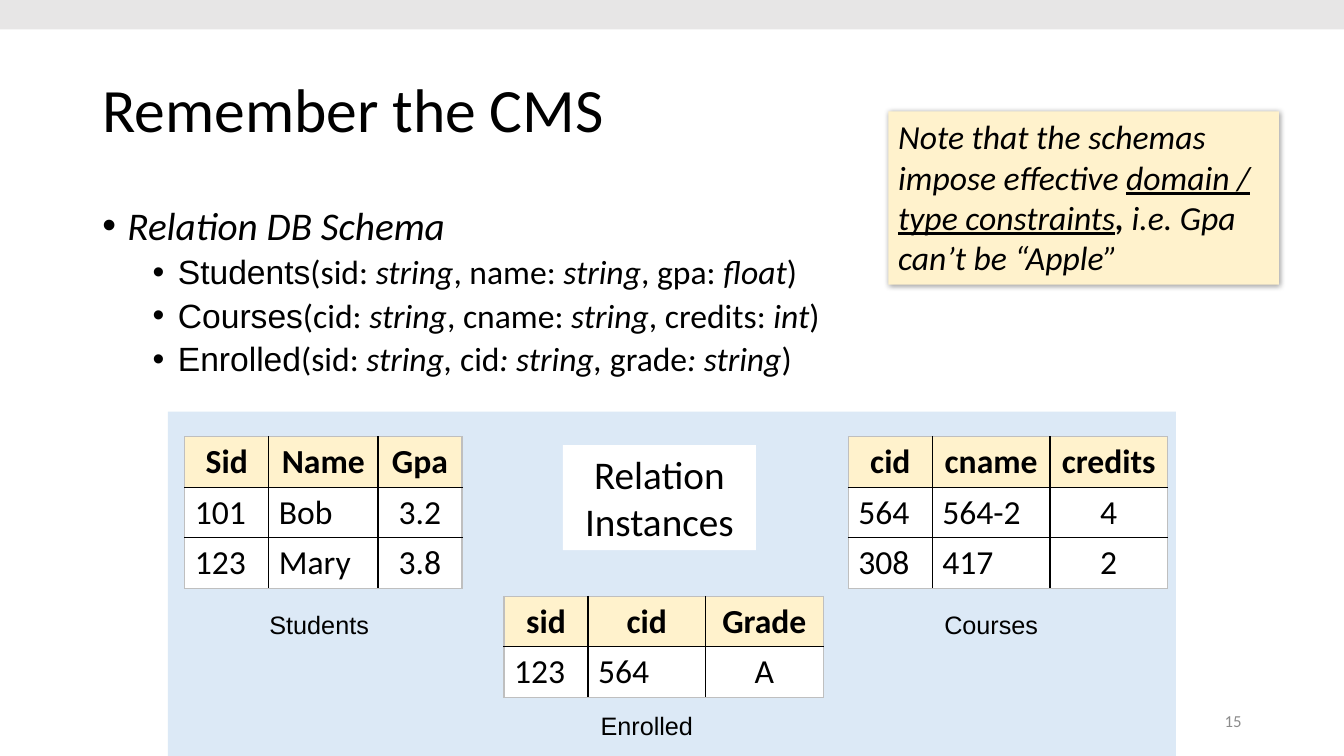
from dataclasses import dataclass
from typing import Any, NamedTuple

from lxml import etree
from pptx import Presentation
from pptx.dml.color import RGBColor
from pptx.enum.shapes import MSO_SHAPE
from pptx.enum.text import MSO_ANCHOR, PP_ALIGN
from pptx.oxml.ns import qn
from pptx.util import Emu, Pt

EMU_PER_PX = 9525
RECTANGLE = MSO_SHAPE.RECTANGLE
TOP, MIDDLE = MSO_ANCHOR.TOP, MSO_ANCHOR.MIDDLE
LEFT, CENTER, RIGHT = PP_ALIGN.LEFT, PP_ALIGN.CENTER, PP_ALIGN.RIGHT


@dataclass(frozen=True)
class Theme:
    text: str = "000000"
    page_number: str = "8C8C8C"
    backdrop: str = "5B9BD5"
    highlight: str = "FFF2CC"
    paper: str = "FFFFFF"
    band: str = "E7E6E6"
    table_edge: str = "BFBFBF"
    body_font: str = "Calibri"
    relation_font: str = "Arial"
    title_size: int = 44
    heading_size: int = 28
    text_size: int = 24
    label_size: int = 18
    number_size: int = 12


THEME = Theme()


class Box(NamedTuple):
    left: int
    top: int
    width: int
    height: int

    def emu(self) -> list[Emu]:
        return [Emu(value * EMU_PER_PX) for value in self]


class Span(NamedTuple):
    text: str
    italic: bool = False
    bold: bool = False
    underline: bool = False
    font: str = THEME.body_font


@dataclass(frozen=True)
class Relation:
    name: str
    left: int
    top: int
    columns: tuple[int, ...]
    rows: tuple[tuple[str, ...], ...]
    label: Box


ROW_HEIGHT = 48
RELATIONS = (
    Relation("Students", 176, 416, (80, 104, 80),
             (("Sid", "Name", "Gpa"), ("101", "Bob", "3.2"), ("123", "Mary", "3.8")),
             Box(216, 576, 176, 38)),
    Relation("Courses", 808, 416, (80, 112, 112),
             (("cid", "cname", "credits"), ("564", "564-2", "4"), ("308", "417", "2")),
             Box(856, 576, 176, 38)),
    Relation("Enrolled", 480, 568, (80, 112, 112),
             (("sid", "cid", "Grade"), ("123", "564", "A")),
             Box(528, 672, 176, 38)),
)

SCHEMAS = (
    (Span("Students", font=THEME.relation_font), Span("(sid: "), Span("string", True),
     Span(", name: "), Span("string", True), Span(", gpa: "), Span("float", True), Span(")")),
    (Span("Courses", font=THEME.relation_font), Span("(cid: "), Span("string", True),
     Span(", cname: "), Span("string", True), Span(", credits: "), Span("int", True), Span(")")),
    (Span("Enrolled", font=THEME.relation_font), Span("(sid: "), Span("string, ", True),
     Span("cid"), Span(": string, ", True), Span("grade"), Span(": string", True), Span(")")),
)

NOTE = (
    Span("Note that the schemas impose effective ", True),
    Span("domain / type constraints", True, underline=True),
    Span(", ", True, bold=True),
    Span("i.e. Gpa can’t be “Apple”", True),
)


def write(paragraph: Any, spans: tuple[Span, ...], size: int,
          align: PP_ALIGN = LEFT, color: str = THEME.text) -> None:
    paragraph.alignment = align
    for span in spans:
        run = paragraph.add_run()
        run.text = span.text
        font = run.font
        font.name, font.size = span.font, Pt(size)
        font.italic, font.bold, font.underline = span.italic, span.bold, span.underline
        font.color.rgb = RGBColor.from_string(color)


def add_text(slide: Any, box: Box, spans: tuple[Span, ...], size: int, align: PP_ALIGN = LEFT,
             anchor: MSO_ANCHOR = TOP, color: str = THEME.text) -> Any:
    text_frame = slide.shapes.add_textbox(*box.emu()).text_frame
    text_frame.word_wrap = True
    text_frame.vertical_anchor = anchor
    write(text_frame.paragraphs[0], spans, size, align, color)
    return text_frame


def add_rectangle(slide: Any, box: Box, fill: str) -> Any:
    shape = slide.shapes.add_shape(RECTANGLE, *box.emu())
    shape.shadow.inherit = False
    shape.fill.solid()
    shape.fill.fore_color.rgb = RGBColor.from_string(fill)
    shape.line.fill.background()
    shape.text_frame.word_wrap = True
    shape.text_frame.vertical_anchor = TOP
    return shape


def add_color(parent: Any, color: str, opacity: int) -> None:
    element = etree.SubElement(parent, qn("a:srgbClr"), val=color)
    etree.SubElement(element, qn("a:alpha"), val=str(opacity * 1000))


def set_opacity(shape: Any, color: str, opacity: int) -> None:
    fill = shape.element.spPr.find(qn("a:solidFill"))
    fill.clear()
    add_color(fill, color, opacity)


def add_shadow(shape: Any) -> None:
    effects = shape.element.spPr.find(qn("a:effectLst"))
    shadow = etree.SubElement(effects, qn("a:outerShdw"), blurRad=str(Pt(4)), dist=str(Pt(1)),
                              dir=str(45 * 60000), algn="tl", rotWithShape="0")
    add_color(shadow, THEME.text, 40)


def format_bullet(paragraph: Any, level: int, space_before: int) -> None:
    paragraph.level = level
    paragraph.line_spacing = 0.9
    paragraph.space_before = Pt(space_before)
    properties = paragraph._p.get_or_add_pPr()
    properties.set("marL", str((24 + 48 * level) * EMU_PER_PX))
    properties.set("indent", str(-24 * EMU_PER_PX))
    etree.SubElement(properties, qn("a:buFont"), typeface=THEME.relation_font)
    etree.SubElement(properties, qn("a:buChar"), char="•")


def set_borders(cell: Any, outer_sides: dict[str, bool]) -> None:
    properties = cell._tc.get_or_add_tcPr()
    for position, (side, is_outer) in enumerate(outer_sides.items()):
        line = etree.Element(qn(f"a:{side}"), w=str(Pt(1)))
        fill = etree.SubElement(line, qn("a:solidFill"))
        add_color(fill, THEME.table_edge if is_outer else THEME.text, 100)
        properties.insert(position, line)


def add_relation(slide: Any, relation: Relation) -> None:
    row_count, column_count = len(relation.rows), len(relation.columns)
    box = Box(relation.left, relation.top, sum(relation.columns), ROW_HEIGHT * row_count)
    table = slide.shapes.add_table(row_count, column_count, *box.emu()).table
    for column, width in zip(table.columns, relation.columns):
        column.width = Emu(width * EMU_PER_PX)
    for row, values in enumerate(relation.rows):
        for column, value in enumerate(values):
            cell = table.cell(row, column)
            is_header, is_last = row == 0, column == column_count - 1
            cell.fill.solid()
            cell.fill.fore_color.rgb = RGBColor.from_string(
                THEME.highlight if is_header else THEME.paper)
            set_borders(cell, {"lnL": column == 0, "lnR": is_last,
                               "lnT": is_header, "lnB": row == row_count - 1})
            write(cell.text_frame.paragraphs[0], (Span(value, bold=is_header),),
                  THEME.text_size, CENTER if is_header or is_last else LEFT)
    add_text(slide, relation.label, (Span(relation.name, font=THEME.relation_font),),
             THEME.label_size, CENTER)


def main() -> None:
    presentation = Presentation()
    presentation.slide_width = Emu(1280 * EMU_PER_PX)
    presentation.slide_height = Emu(720 * EMU_PER_PX)
    slide = presentation.slides.add_slide(presentation.slide_layouts[6])

    backdrop = add_rectangle(slide, Box(160, 392, 960, 328), THEME.backdrop)
    set_opacity(backdrop, THEME.backdrop, 21)
    title = add_text(slide, Box(88, 38, 1104, 139), (Span("Remember the CMS"),),
                     THEME.title_size, anchor=MIDDLE)
    title.paragraphs[0].line_spacing = 0.9

    body = add_text(slide, Box(88, 192, 1104, 439), (Span("Relation DB Schema", True),),
                    THEME.heading_size)
    format_bullet(body.paragraphs[0], 0, 10)
    for schema in SCHEMAS:
        paragraph = body.add_paragraph()
        write(paragraph, schema, THEME.text_size)
        format_bullet(paragraph, 1, 5)

    for relation in RELATIONS:
        add_relation(slide, relation)

    instances = add_rectangle(slide, Box(536, 424, 184, 100), THEME.paper)
    write(instances.text_frame.paragraphs[0], (Span("Relation Instances"),),
          THEME.heading_size, CENTER)
    add_text(slide, Box(904, 667, 288, 38), (Span("15"),), THEME.number_size,
             RIGHT, MIDDLE, THEME.page_number)
    note = add_rectangle(slide, Box(846, 106, 372, 165), THEME.highlight)
    add_shadow(note)
    write(note.text_frame.paragraphs[0], NOTE, THEME.text_size)
    add_rectangle(slide, Box(0, 0, 1280, 28), THEME.band)
    presentation.save("out.pptx")


if __name__ == "__main__":
    main()
